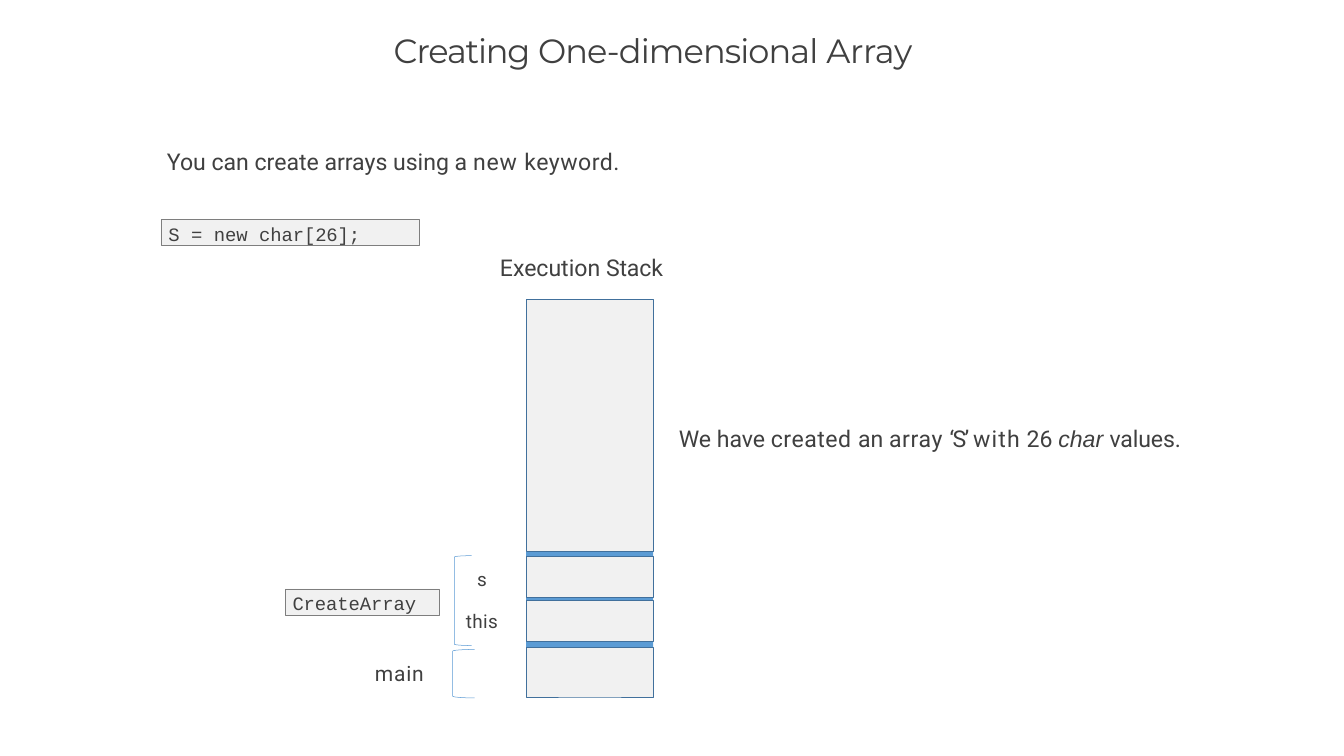
import dataclasses

import pptx
import pptx.dml.color
import pptx.enum.shapes
import pptx.enum.text
import pptx.util

Cm, Pt = pptx.util.Cm, pptx.util.Pt
SHAPES = pptx.enum.shapes.MSO_SHAPE
ALIGN = pptx.enum.text.PP_ALIGN


@dataclasses.dataclass(frozen=True)
class Theme:
    ink: str = "404040"
    panel: str = "F1F1F1"
    code_edge: str = "7E7E7E"
    frame_edge: str = "41709C"
    accent: str = "5B9BD4"
    title_font: str = "Montserrat"
    body_font: str = "Roboto"
    code_font: str = "Courier New"
    italic_font: str = "Arial"
    title_size: int = 32
    body_size: int = 22
    label_size: int = 20
    small_size: int = 18


@dataclasses.dataclass(frozen=True)
class Box:
    """A region in centimetres."""
    left: float
    top: float
    width: float
    height: float

    def inner(self, left, top, width, height):
        return Box(self.left + left, self.top + top, width, height)

    def lengths(self):
        return [Cm(v) for v in (self.left, self.top, self.width, self.height)]


THEME = Theme()


def rgb(value):
    return pptx.dml.color.RGBColor.from_string(value)


def write(shape, *paragraphs, font=THEME.body_font, size=THEME.body_size,
          align=ALIGN.LEFT, indent=0, gap=0, inset=0.03):
    """Fill a shape; each paragraph lists runs of (text, spacing[, italic font])."""
    frame = shape.text_frame
    frame.word_wrap = True
    frame.auto_size = pptx.enum.text.MSO_AUTO_SIZE.NONE
    frame.vertical_anchor = pptx.enum.text.MSO_ANCHOR.TOP
    frame.margin_left = frame.margin_right = frame.margin_bottom = 0
    frame.margin_top = Cm(inset)
    for index, runs in enumerate(paragraphs):
        paragraph = frame.add_paragraph() if index else frame.paragraphs[0]
        paragraph.alignment = align
        paragraph.space_before = Pt(gap if index else 0)
        properties = paragraph._p.get_or_add_pPr()
        properties.set("marL", str(Cm(indent)))
        properties.set("indent", "0")
        for text, spacing, *italic_font in runs:
            run = paragraph.add_run()
            run.text = text
            run.font.name = italic_font[0] if italic_font else font
            run.font.italic = bool(italic_font)
            run.font.size = Pt(size)
            run.font.color.rgb = rgb(THEME.ink)
            run._r.get_or_add_rPr().set("spc", str(round(spacing * 100)))


def add_text(slide, box, *paragraphs, **style):
    write(slide.shapes.add_textbox(*box.lengths()), *paragraphs, **style)


def add_panel(slide, box, kind=SHAPES.RECTANGLE, fill=None, edge=None, weight=1):
    panel = slide.shapes.add_shape(kind, *box.lengths())
    panel.shadow.inherit = False
    if fill:
        panel.fill.solid()
        panel.fill.fore_color.rgb = rgb(fill)
    else:
        panel.fill.background()
    if edge:
        panel.line.color.rgb = rgb(edge)
        panel.line.width = Pt(weight)
    else:
        panel.line.fill.background()
    return panel


def add_code(slide, box, *runs):
    code = add_panel(slide, box, fill=THEME.panel, edge=THEME.code_edge, weight=0.72)
    write(code, runs, font=THEME.code_font, size=THEME.small_size,
          indent=0.25, inset=0.1)


def add_heading(slide, box):
    heading = slide.shapes.title
    heading.left, heading.top, heading.width, heading.height = box.lengths()
    write(heading,
          [("Creating ", -1.2), ("One-dimensional ", -0.9), ("Array", -0.2)],
          font=THEME.title_font, size=THEME.title_size, indent=8.84)


def add_introduction(slide, box):
    add_text(slide, box.inner(0.2, 0, 15.9, 1),
             [("You can create arrays using a ", 0), ("new ", 0.8), ("keyword.", 0.5)])
    add_code(slide, box.inner(0, 2.44, 8.69, 0.89), ("S = new ", 0), ("char[26];", -0.1))


def add_stack(slide, box):
    add_text(slide, box.inner(-0.88, -1.58, 5.72, 1),
             [("Execution ", 0), ("Stack", -0.1)])
    # Frames from top to bottom, each followed by a band that fills the gap
    top = 0
    for height, band in ((8.48, 0.15), (1.38, 0.1), (1.37, 0.2), (1.68, 0)):
        if band:
            add_panel(slide, box.inner(0, top + height, box.width, band),
                      fill=THEME.accent)
        add_panel(slide, box.inner(0, top, box.width, height),
                  fill=THEME.panel, edge=THEME.frame_edge, weight=0.96)
        top += height + band


def add_call_labels(slide, box):
    # Brackets that group the frames by method
    for bracket_box in (box.inner(5.69, 0, 0.58, 3.02), box.inner(5.63, 3.15, 0.74, 1.63)):
        bracket = add_panel(slide, bracket_box, SHAPES.LEFT_BRACKET,
                            edge=THEME.accent, weight=0.48)
        bracket.adjustments[0] = 0.08
    # Method names and their variables
    add_code(slide, box.inner(0, 1.12, 5.18, 0.89), ("CreateArray", -0.1))
    add_text(slide, box.inner(3.02, 3.48, 1.9, 0.91), [("main", 0.7)],
             size=THEME.label_size)
    add_text(slide, box.inner(6.04, 0.38, 1.15, 2.24), [("s", -0.5)], [("this", 0.3)],
             size=THEME.small_size, align=ALIGN.CENTER, gap=18)


def add_result(slide, box):
    add_text(slide, box,
             [("We have ", 0), ("created ", 0.5), ("an ", 0), ("array ", 0.6),
              ("‘S’ ", -1.6), ("with", 1.1), (" 26 ", 0),
              ("char ", 0, THEME.italic_font), ("values.", -0.1)])


def main():
    deck = pptx.Presentation()
    deck.slide_width, deck.slide_height = Cm(45.16), Cm(25.4)
    slide = deck.slides.add_slide(deck.slide_layouts.get_by_name("Title Only"))
    add_heading(slide, Box(4.39, 0.97, 36.37, 1.42))
    add_introduction(slide, Box(5.41, 4.93, 16.1, 3.33))
    add_stack(slide, Box(17.68, 10.06, 4.27, 13.36))
    add_call_labels(slide, Box(9.58, 18.67, 7.19, 4.78))
    add_result(slide, Box(22.81, 14.22, 17.5, 1))
    deck.save("out.pptx")


if __name__ == "__main__":
    main()
